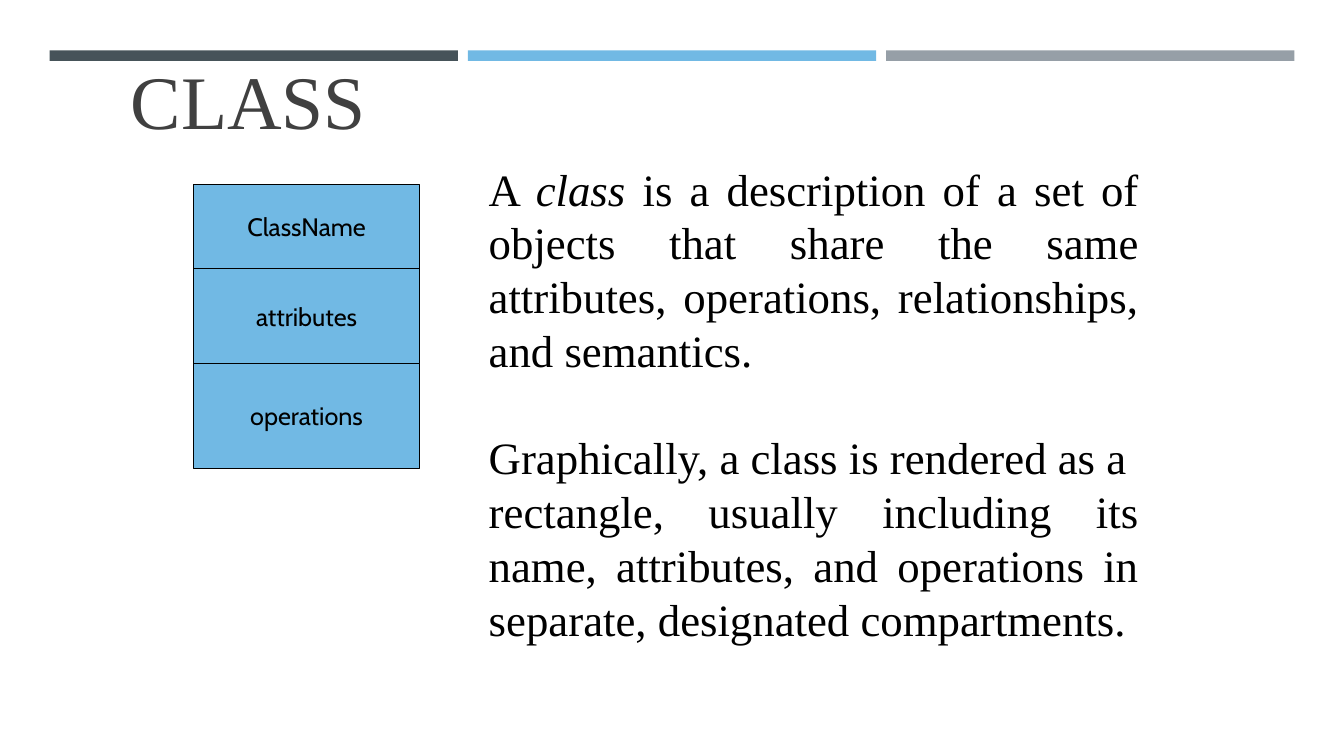
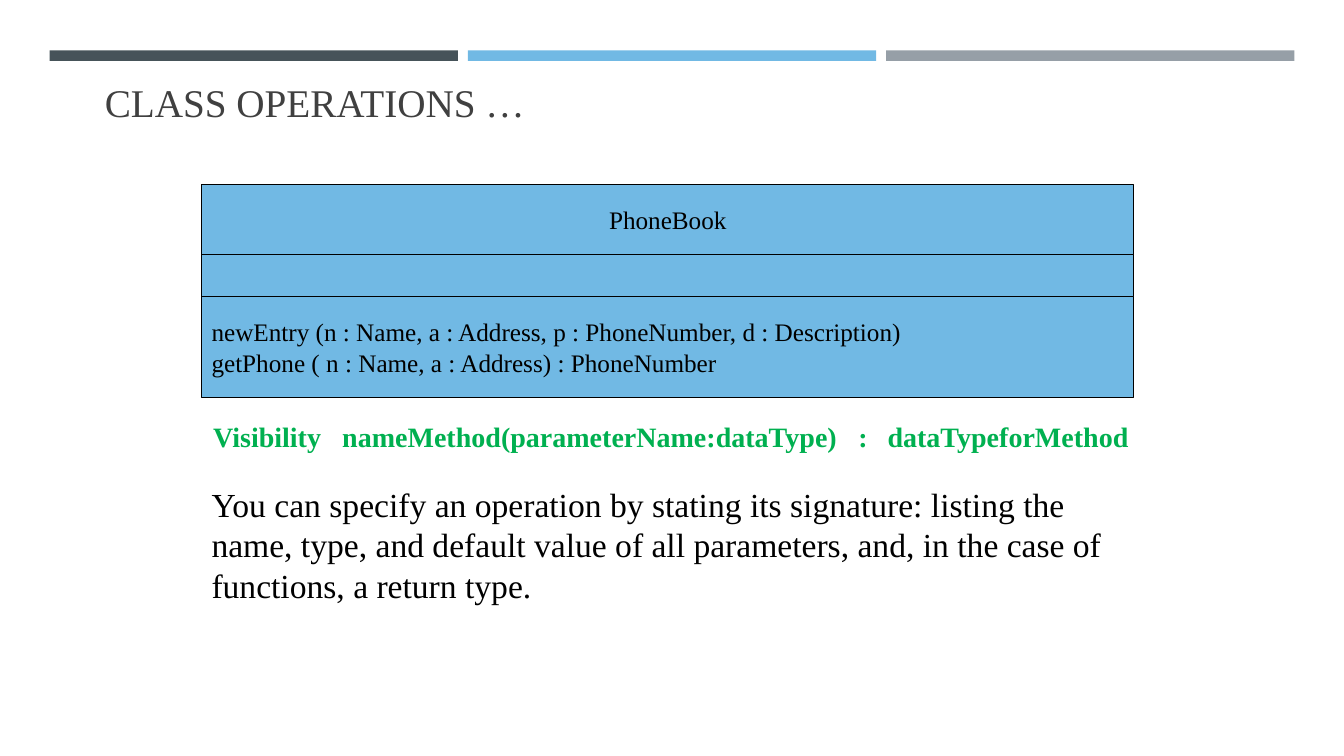
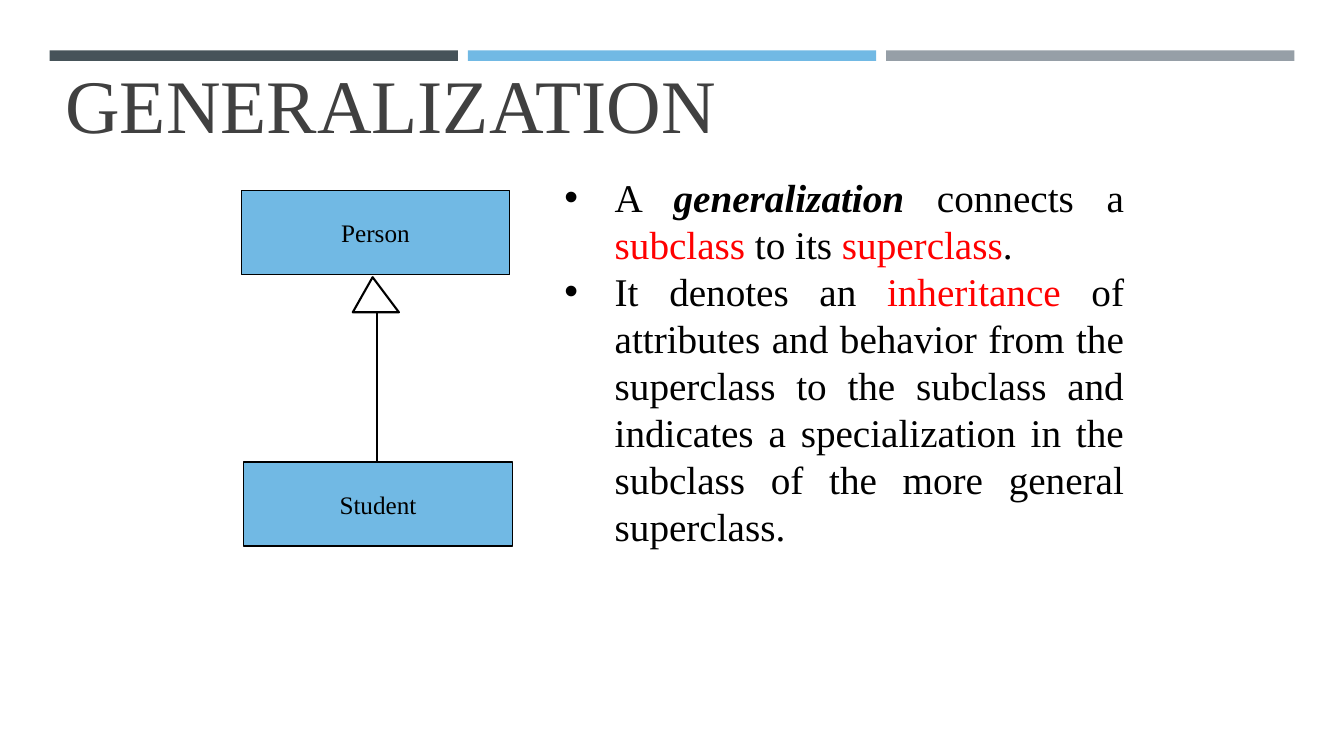
from dataclasses import dataclass

from pptx import Presentation
from pptx.dml.color import RGBColor
from pptx.enum.shapes import MSO_CONNECTOR, MSO_SHAPE
from pptx.enum.text import MSO_ANCHOR, PP_ALIGN
from pptx.oxml.ns import qn
from pptx.util import Emu, Inches, Pt

RECTANGLE = MSO_SHAPE.RECTANGLE
STRAIGHT = MSO_CONNECTOR.STRAIGHT
LEFT, CENTER, JUSTIFY = PP_ALIGN.LEFT, PP_ALIGN.CENTER, PP_ALIGN.JUSTIFY
TOP, MIDDLE, BOTTOM = MSO_ANCHOR.TOP, MSO_ANCHOR.MIDDLE, MSO_ANCHOR.BOTTOM
COLUMNS, ROWS, CELL = 160, 90, 76200


@dataclass(frozen=True)
class Theme:
    """Colours, fonts and type sizes of the deck."""
    ink: str = "000000"
    title: str = "404040"
    blue: str = "71B9E4"
    slate: str = "465359"
    grey: str = "969FA7"
    white: str = "FFFFFF"
    green: str = "00B050"
    red: str = "FF0000"
    serif: str = "Times New Roman"
    sans: str = "Cabin"
    display: int = 54
    heading: int = 28
    lead: int = 32
    points: int = 28
    body: int = 24
    syntax: int = 20
    label: int = 18
    thin: float = 0.75
    thick: float = 1.5


@dataclass(frozen=True)
class Box:
    """A region in columns and rows of the slide grid."""
    left: float
    top: float
    width: float
    height: float

    def emu(self):
        """Give the region as slide lengths."""
        return [cells(n) for n in (self.left, self.top, self.width, self.height)]

    def band(self, top, height):
        """Give a full-width region from shares of this one's height."""
        return Box(self.left, self.top + top * self.height,
                   self.width, height * self.height)


THEME = Theme()


def cells(count):
    """Turn grid cells into a slide length."""
    return Emu(round(count * CELL))


def rgb(code):
    """Turn a hex code into a colour."""
    return RGBColor.from_string(code)


def add_bullet(para):
    """Give a paragraph a round bullet and a hanging indent."""
    props = para._p.get_or_add_pPr()
    props.set("marL", str(Inches(0.5)))
    props.set("indent", str(-Inches(0.5)))
    props.append(props.makeelement(qn("a:buFont"), {"typeface": "Arial"}))
    props.append(props.makeelement(qn("a:buChar"), {"char": "•"}))


def add_tabs(para, stops):
    """Set left tab stops, in inches, on a paragraph."""
    props = para._p.get_or_add_pPr()
    tabs = props.makeelement(qn("a:tabLst"), {})
    for stop in stops:
        place = {"pos": str(Inches(stop)), "algn": "l"}
        tabs.append(tabs.makeelement(qn("a:tab"), place))
    props.append(tabs)


def write(shape, paragraphs, size, font=THEME.serif, color=THEME.ink, bold=False,
          align=LEFT, anchor=TOP, gaps=(), bullet=False, tabs=()):
    """Fill a shape with paragraphs made of strings or (text, format) spans."""
    frame = shape.text_frame
    frame.word_wrap = True
    frame.vertical_anchor = anchor
    for index, spans in enumerate(paragraphs):
        para = frame.add_paragraph() if index else frame.paragraphs[0]
        para.alignment = align
        if index < len(gaps) and gaps[index]:
            para.space_before = Pt(gaps[index])
        if bullet:
            add_bullet(para)
        if tabs:
            add_tabs(para, tabs)
        for text, style in [(s, {}) if isinstance(s, str) else s for s in spans]:
            span = para.add_run()
            span.text = text
            span.font.name = font
            span.font.size = Pt(size)
            span.font.bold = style.get("bold", bold)
            span.font.italic = style.get("italic", False)
            span.font.color.rgb = rgb(style.get("color", color))


def add_text(page, box, paragraphs, **style):
    """Add a text box holding formatted paragraphs."""
    write(page.shapes.add_textbox(*box.emu()), paragraphs, **style)


def paint(shape, fill, weight=0):
    """Set a flat fill and, with a weight, an ink outline."""
    shape.shadow.inherit = False
    shape.fill.solid()
    shape.fill.fore_color.rgb = rgb(fill)
    if weight:
        shape.line.color.rgb = rgb(THEME.ink)
        shape.line.width = Pt(weight)
    else:
        shape.line.fill.background()


def add_panel(page, box, fill, weight=0):
    """Add a flat rectangle."""
    panel = page.shapes.add_shape(RECTANGLE, *box.emu())
    paint(panel, fill, weight)
    return panel


def add_page(deck, title, left, top, size):
    """Add a page with the three-colour band and its title."""
    page = deck.slides.add_slide(deck.slide_layouts[6])
    for index, color in enumerate((THEME.slate, THEME.blue, THEME.grey)):
        add_panel(page, Box(5.9 + 49.8 * index, 6, 48.6, 1.25), color)
    add_text(page, Box(left, top, 137.3, 7), [[title]], size=size,
             color=THEME.title, anchor=BOTTOM)
    return page


def add_class(page, box, compartments, font=THEME.serif):
    """Stack the compartments of a class, each (rows, lines, alignment)."""
    total = sum(rows for rows, _, _ in compartments)
    top = 0
    for rows, lines, align in compartments:
        panel = add_panel(page, box.band(top / total, rows / total),
                          THEME.blue, THEME.thin)
        if lines:
            write(panel, [[line] for line in lines], size=THEME.label,
                  font=font, align=align, anchor=MIDDLE)
        top += rows


def add_inheritance(page, box):
    """Draw a stem with a hollow triangle on top, filling the box."""
    left, top, width, height = box.emu()
    head = round(height * 0.19)
    stem_x = left + round(width * 0.52)
    stem = page.shapes.add_connector(STRAIGHT, stem_x, top + head,
                                     stem_x, top + height)
    stem.line.color.rgb = rgb(THEME.ink)
    stem.line.width = Pt(THEME.thick)
    props = stem._element.spPr
    props.append(props.makeelement(qn("a:effectLst"), {}))
    outline = page.shapes.build_freeform(left + round(width * 0.43), top)
    outline.add_line_segments([(left, top + head), (left + width, top + head)])
    paint(outline.convert_to_shape(), THEME.white, THEME.thick)


def class_page(deck):
    """Build the page that defines a class."""
    page = add_page(deck, "CLASS", 14.4, 10.8, THEME.display)
    add_class(page, Box(23, 22, 27, 33.75), [
        (10, ["ClassName"], CENTER),
        (11.25, ["attributes"], CENTER),
        (12.5, ["operations"], CENTER),
    ], font=THEME.sans)
    add_text(page, Box(57, 18.6, 79.8, 59.4), [
        ["A ", ("class", {"italic": True}),
         " is a description of a set of objects that share the same attributes, "
         "operations, relationships, and semantics."],
        ["Graphically, a class is rendered as a"],
        ["rectangle, usually including its name, attributes, and operations in "
         "separate, designated compartments."],
    ], size=THEME.lead, align=JUSTIFY, gaps=(0, THEME.lead * 1.2))


def operations_page(deck):
    """Build the page on operation signatures."""
    page = add_page(deck, "CLASS OPERATIONS …", 11.3, 8.5, THEME.heading)
    add_class(page, Box(24, 22, 111, 25.3), [
        (8.3, ["PhoneBook"], CENTER),
        (5, [], CENTER),
        (12, ["newEntry (n : Name, a : Address, p : PhoneNumber, d : Description)",
              "getPhone ( n : Name, a : Address) : PhoneNumber"], LEFT),
    ])
    add_text(page, Box(24, 57, 110, 15.7), [[
        "You can specify an operation by stating its signature: listing the name, "
        "type, and default value of all parameters, and, in the case of functions, "
        "a return type."]], size=THEME.body)
    add_text(page, Box(24.2, 49.3, 112, 5.3), [[
        "Visibility\tnameMethod(parameterName:dataType)\t:\tdataTypeforMethod"]],
        size=THEME.syntax, color=THEME.green, bold=True, tabs=(1.28, 6.4, 6.69))


def generalization_page(deck):
    """Build the page on subclass and superclass."""
    page = add_page(deck, "GENERALIZATION", 6.6, 11.3, THEME.display)
    add_class(page, Box(28.7, 22.7, 32, 10), [(10, ["Person"], CENTER)])
    red = {"color": THEME.red}
    add_text(page, Box(66, 20, 69, 46.4), [
        ["A ", ("generalization", {"bold": True, "italic": True}), " connects a ",
         ("subclass", red), " to its ", ("superclass", red), "."],
        ["It denotes an ", ("inheritance", red),
         " of attributes and behavior from the superclass to the subclass and "
         "indicates a specialization in the subclass of the more general superclass."],
    ], size=THEME.points, align=JUSTIFY, bullet=True)
    add_class(page, Box(29, 55, 32, 10), [(10, ["Student"], CENTER)])
    add_inheritance(page, Box(42, 33, 5.5, 22))


def main():
    """Build the deck and save it."""
    deck = Presentation()
    deck.slide_width, deck.slide_height = cells(COLUMNS), cells(ROWS)
    for build in (class_page, operations_page, generalization_page):
        build(deck)
    deck.save("out.pptx")


if __name__ == "__main__":
    main()
